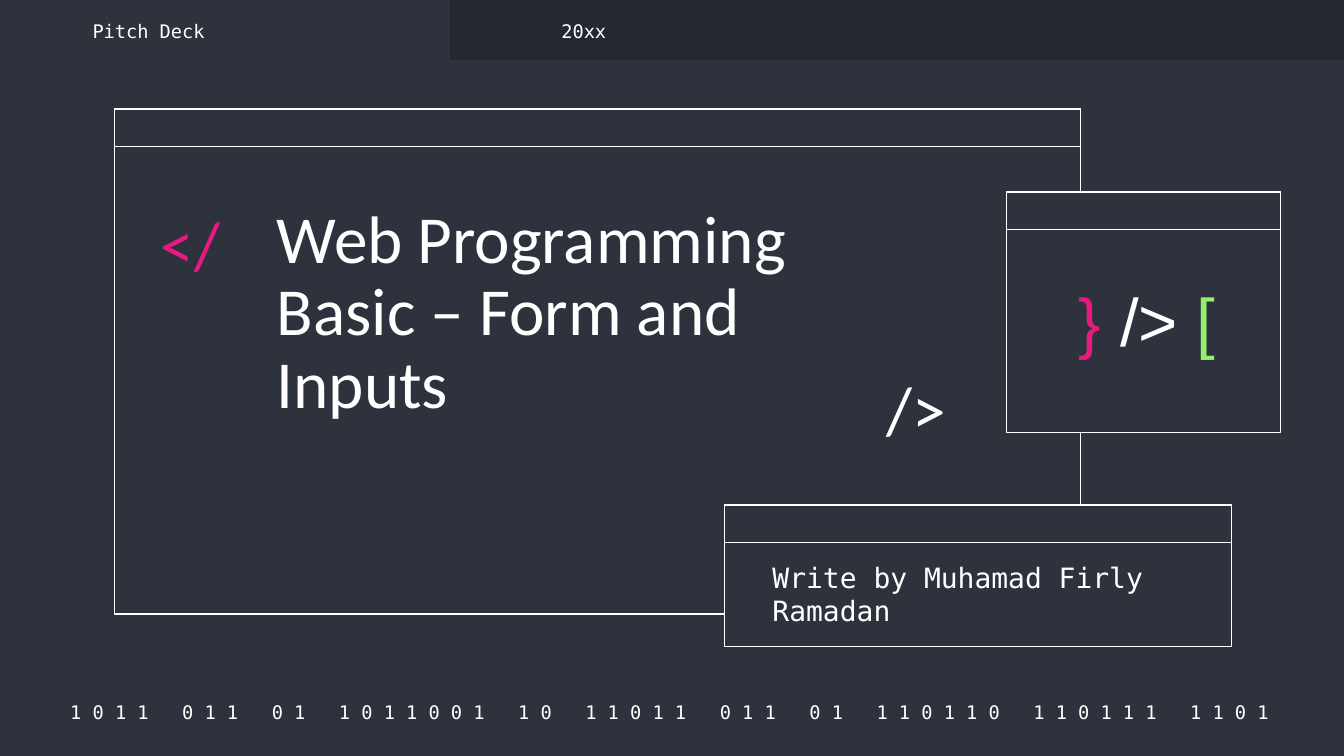
from pptx import Presentation
from pptx.dml.color import RGBColor as Rgb
from pptx.enum.shapes import MSO_SHAPE as Kind
from pptx.enum.text import MSO_ANCHOR as Anchor, MSO_AUTO_SIZE as Fit, PP_ALIGN as Align
from pptx.util import Cm, Pt

HUES = {"back": "2D323C", "bar": "242830", "text": "FFFFFF",
        "pink": "E81981", "green": "94EE6B"}
MONO = "DejaVu Sans Mono"
HEAD = 0.71
BITS = "1011 011 01 1011001 10 11011 011 01 110110 110111 1101"


def hue(name):
    return Rgb.from_string(HUES[name])


class Deck:
    def __init__(self):
        self.prs = Presentation()
        self.prs.slide_width, self.prs.slide_height = Cm(25.4), Cm(14.29)
        self.slide = self.prs.slides.add_slide(self.prs.slide_layouts[5])
        fill = self.slide.background.fill
        fill.solid()
        fill.fore_color.rgb = hue("back")

    def rect(self, box, fill, line=None):
        shape = self.slide.shapes.add_shape(Kind.RECTANGLE, *map(Cm, box))
        shape.shadow.inherit = False
        shape.fill.solid()
        shape.fill.fore_color.rgb = hue(fill)
        if line:
            shape.line.color.rgb = hue(line)
            shape.line.width = Pt(0.75)
        else:
            shape.line.fill.background()

    def window(self, left, top, width, height):
        for tall in (height, HEAD):
            self.rect((left, top, width, tall), "back", "text")

    def style(self, shape, runs, size, font, align, anchor, space):
        frame = shape.text_frame
        frame.word_wrap = True
        frame.auto_size = Fit.NONE
        frame.vertical_anchor = anchor
        frame.margin_left = frame.margin_right = Cm(0.25)
        frame.margin_top = frame.margin_bottom = Cm(0.25)
        para = frame.paragraphs[0]
        para.alignment = align
        para.line_spacing = space
        for words, tint in runs:
            run = para.add_run()
            run.text = words
            run.font.size = Pt(size)
            run.font.name = font
            run.font.color.rgb = hue(tint)

    def text(self, box, runs, size=10, font=MONO, align=Align.LEFT,
             anchor=Anchor.MIDDLE, space=1.0):
        shape = self.slide.shapes.add_textbox(*map(Cm, box))
        self.style(shape, runs, size, font, align, anchor, space)

    def title(self, box, words):
        shape = self.slide.shapes.title
        shape.left, shape.top, shape.width, shape.height = map(Cm, box)
        self.style(shape, [(words, "text")], 36, "Calibri", Align.LEFT, Anchor.TOP, 0.9)
        node = shape.element
        node.getparent().append(node)

    def save(self):
        self.prs.save("out.pptx")


def main():
    deck = Deck()
    bits = "   ".join(" ".join(word) for word in BITS.split())
    deck.text((0.87, 13.21, 23.55, 0.51), [(bits, "text")], align=Align.CENTER)
    deck.rect((8.51, 0, 16.89, 1.14), "bar")

    deck.window(2.16, 2.06, 18.26, 9.55)
    deck.window(13.69, 9.55, 9.58, 2.67)
    deck.window(19.02, 3.63, 5.18, 4.55)

    for left, top, mark, tint in ((2.79, 3.84, "</", "pink"), (16.51, 6.96, "/>", "text")):
        deck.text((left, top, 1.96, 1.68), [(mark, tint)], 36, "Calibri", space=0.9)
    deck.text((19.99, 5.21, 3.38, 2.08),
              [("}", "pink"), (" /> ", "text"), ("[", "green")],
              36, "Arial", Align.CENTER, Anchor.TOP, 0.9)

    deck.title((4.98, 3.63, 11.53, 4.65), "Web Programming Basic – Form and Inputs")
    deck.text((14.35, 10.49, 8.46, 1.47), [("Write by Muhamad Firly Ramadan", "text")], 15)
    for left, label in ((1.5, "Pitch Deck"), (10.36, "20xx")):
        deck.text((left, 0.33, 5.56, 0.51), [(label, "text")])
    deck.save()


if __name__ == "__main__":
    main()
